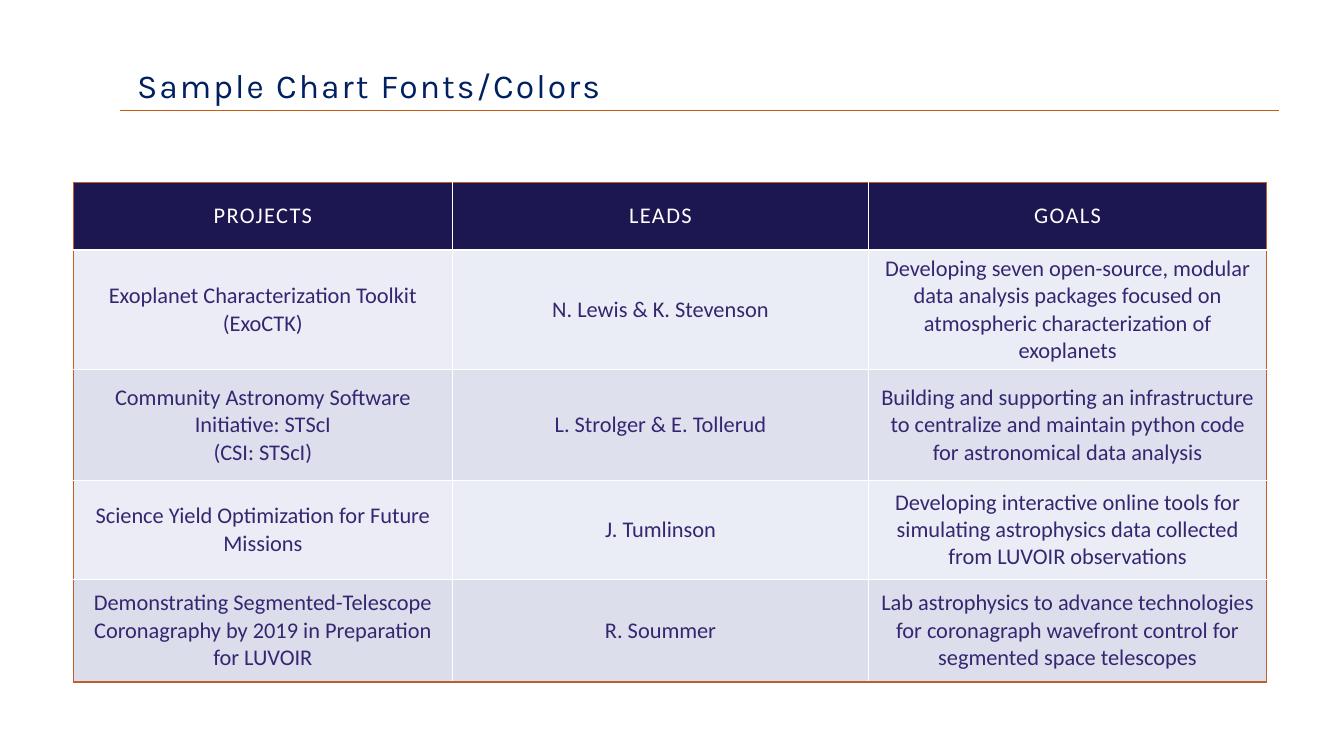
from typing import NamedTuple

from lxml.etree import SubElement
from pptx import Presentation
from pptx.dml.color import RGBColor
from pptx.enum.shapes import MSO_CONNECTOR
from pptx.enum.text import MSO_ANCHOR, MSO_AUTO_SIZE, PP_ALIGN
from pptx.oxml import parse_xml
from pptx.oxml.ns import nsdecls, qn
from pptx.util import Cm, Pt

WHITE = RGBColor(0xFF, 0xFF, 0xFF)
TITLE_BLUE = RGBColor(0x00, 0x20, 0x60)
RULE_ORANGE = RGBColor(0xC5, 0x5A, 0x11)
EDGE_ORANGE = RGBColor(0xBE, 0x5D, 0x2F)
HEADER_NAVY = RGBColor(0x1D, 0x17, 0x51)
BODY_INDIGO = RGBColor(0x35, 0x26, 0x71)
LIGHT_TINT = RGBColor(0xCE, 0xD1, 0xE7)
DARK_TINT = RGBColor(0xC5, 0xC7, 0xDF)
LIGHT_ROW = RGBColor(0xEB, 0xED, 0xF6)
DARK_ROW = RGBColor(0xDE, 0xE0, 0xEE)
LAST_ROW = RGBColor(0xDD, 0xDE, 0xEB)


class TableRow(NamedTuple):
    height: float
    texts: tuple[str, str, str]
    fill: RGBColor
    first_fill: RGBColor
    first_opacity: int = 100
    color: RGBColor = BODY_INDIGO
    spacing: float = 0


COLUMN_WIDTHS = (9.55, 10.49, 10.03)
ROWS = (
    TableRow(1.7, ("PROJECTS", "LEADS", "GOALS"), HEADER_NAVY, HEADER_NAVY,
             color=WHITE, spacing=1),
    TableRow(2.54, ("Exoplanet Characterization Toolkit (ExoCTK)",
                    "N. Lewis & K. Stevenson",
                    "Developing seven open-source, modular data analysis packages "
                    "focused on atmospheric characterization of exoplanets"),
             LIGHT_ROW, LIGHT_TINT, 40),
    TableRow(2.79, ("Community Astronomy Software Initiative: STScI\n(CSI: STScI)",
                    "L. Strolger & E. Tollerud",
                    "Building and supporting an infrastructure to centralize and "
                    "maintain python code for astronomical data analysis"),
             DARK_ROW, DARK_TINT, 56),
    TableRow(2.49, ("Science Yield Optimization for Future Missions",
                    "J. Tumlinson",
                    "Developing interactive online tools for simulating astrophysics "
                    "data collected from LUVOIR observations"),
             LIGHT_ROW, LIGHT_TINT, 40),
    TableRow(2.59, ("Demonstrating Segmented-Telescope Coronagraphy by 2019 in "
                    "Preparation for LUVOIR",
                    "R. Soummer",
                    "Lab astrophysics to advance technologies for coronagraph "
                    "wavefront control for segmented space telescopes"),
             LAST_ROW, DARK_TINT, 60),
)


def format_span(span, font_name: str, size: float, color: RGBColor,
                spacing: float) -> None:
    span.font.name = font_name
    span.font.size = Pt(size)
    span.font.color.rgb = color
    span._r.get_or_add_rPr().set("spc", str(round(spacing * 100)))


def fill_cell(cell, color: RGBColor, opacity: int) -> None:
    cell.fill.solid()
    cell.fill.fore_color.rgb = color
    if opacity < 100:
        tint = cell._tc.tcPr.find(".//" + qn("a:srgbClr"))
        SubElement(tint, qn("a:alpha")).set("val", str(opacity * 1000))


def set_borders(cell, outer_sides: dict[str, bool]) -> None:
    """Orange on the outside of the table, white between the cells."""
    for position, (side, is_outer) in enumerate(outer_sides.items()):
        color = EDGE_ORANGE if is_outer else WHITE
        cell._tc.tcPr.insert(position, parse_xml(
            f'<a:ln{side} {nsdecls("a")} w="{Pt(1)}"><a:solidFill>'
            f'<a:srgbClr val="{color}"/></a:solidFill></a:ln{side}>'))


def add_title(page, text: str) -> None:
    title = page.shapes.title
    title.left, title.top = Cm(3.2), Cm(1.63)
    title.width, title.height = Cm(29.03), Cm(1.73)
    frame = title.text_frame
    frame.text = text
    frame.word_wrap = True
    frame.auto_size = MSO_AUTO_SIZE.NONE
    frame.vertical_anchor = MSO_ANCHOR.TOP
    para = frame.paragraphs[0]
    para.alignment = PP_ALIGN.LEFT
    para.line_spacing = 0.9
    format_span(para.runs[0], "Karla", 24, TITLE_BLUE, 1.5)


def add_title_rule(page) -> None:
    rule = page.shapes.add_connector(
        MSO_CONNECTOR.STRAIGHT, Cm(3.02), Cm(2.77), Cm(32.23), Cm(2.77))
    rule.line.color.rgb = RULE_ORANGE
    rule.line.width = Pt(0.5)
    SubElement(rule._element.spPr, qn("a:effectLst"))


def add_project_table(page) -> None:
    table = page.shapes.add_table(
        len(ROWS), len(COLUMN_WIDTHS), Cm(1.85), Cm(4.6),
        Cm(sum(COLUMN_WIDTHS)), Cm(sum(row.height for row in ROWS))).table
    table.first_row = table.horz_banding = False
    for column, width in zip(table.columns, COLUMN_WIDTHS):
        column.width = Cm(width)

    for row_index, row in enumerate(ROWS):
        table.rows[row_index].height = Cm(row.height)
        for column_index, text in enumerate(row.texts):
            cell = table.cell(row_index, column_index)
            cell.text_frame.text = text
            cell.vertical_anchor = MSO_ANCHOR.MIDDLE
            for para in cell.text_frame.paragraphs:
                para.alignment = PP_ALIGN.CENTER
                format_span(para.runs[0], "Calibri", 16, row.color, row.spacing)
            if column_index == 0:
                fill_cell(cell, row.first_fill, row.first_opacity)
            else:
                fill_cell(cell, row.fill, 100)
            set_borders(cell, {
                "L": column_index == 0,
                "R": column_index == len(COLUMN_WIDTHS) - 1,
                "T": row_index == 0,
                "B": row_index == len(ROWS) - 1,
            })


def main() -> None:
    deck = Presentation()
    deck.slide_width, deck.slide_height = Cm(33.87), Cm(19.05)
    page = deck.slides.add_slide(deck.slide_layouts.get_by_name("Title Only"))

    # Heading
    add_title(page, "Sample Chart Fonts/Colors")
    add_title_rule(page)

    # Projects, leads and goals
    add_project_table(page)

    deck.save("out.pptx")


if __name__ == "__main__":
    main()
